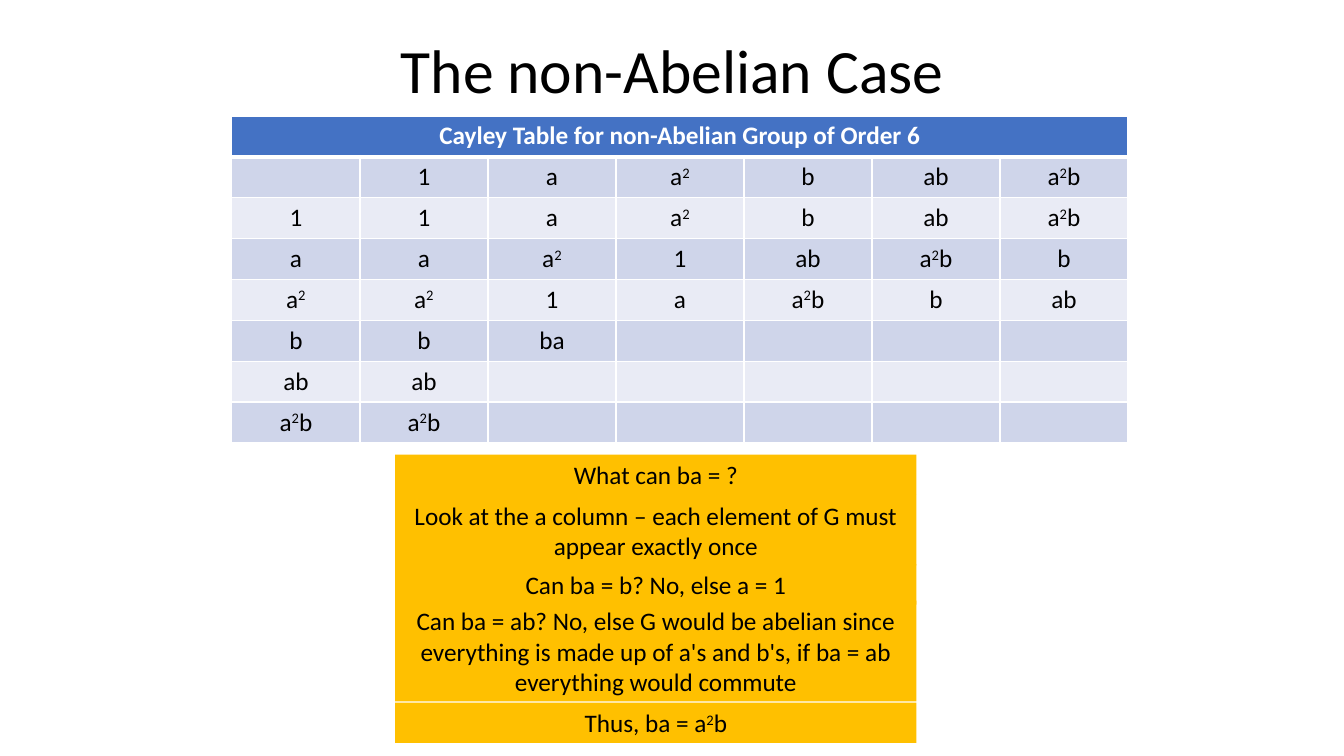
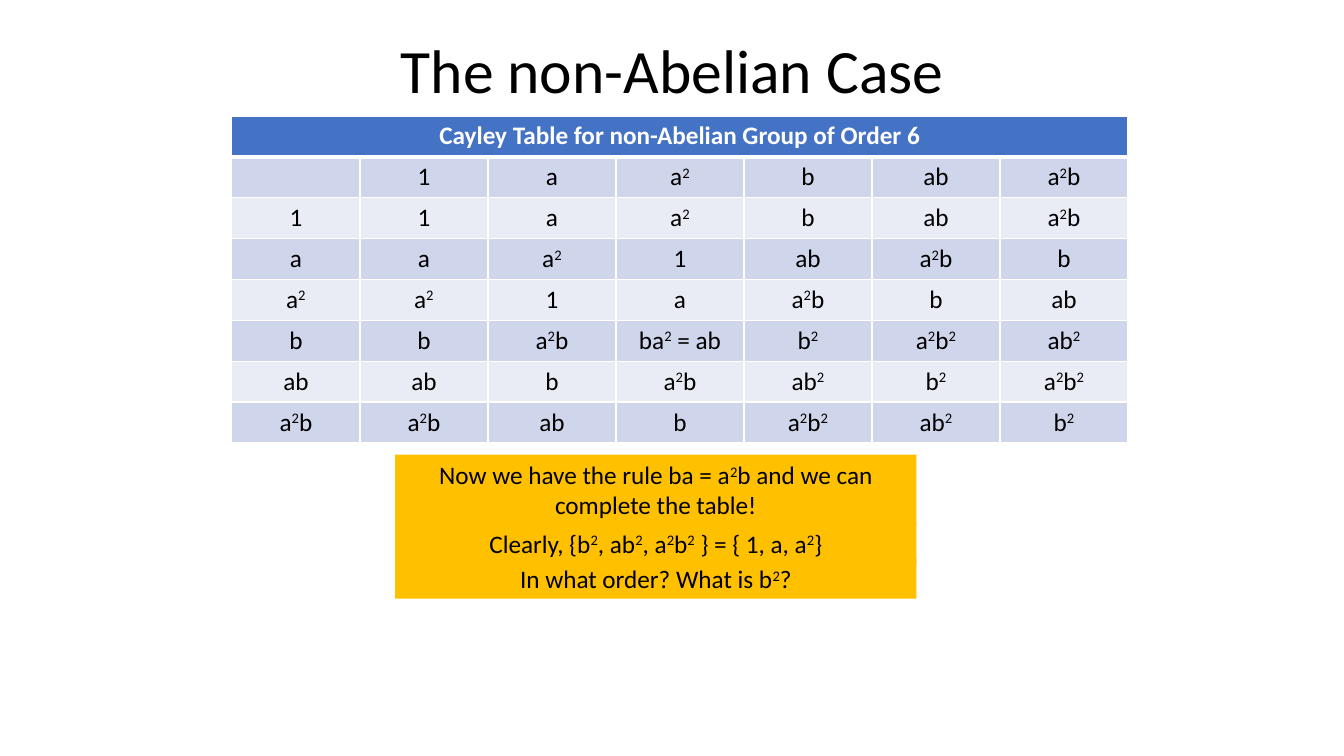
"""Build two slides on the Cayley table of the non-Abelian group of order 6."""
from lxml import etree
from pptx import Presentation
from pptx.dml.color import RGBColor
from pptx.enum.text import MSO_ANCHOR, MSO_AUTO_SIZE, PP_ALIGN
from pptx.oxml.ns import qn
from pptx.util import Inches, Pt

CENTER = PP_ALIGN.CENTER
MIDDLE = MSO_ANCHOR.MIDDLE
NO_FIT = MSO_AUTO_SIZE.NONE
GROW = MSO_AUTO_SIZE.SHAPE_TO_FIT_TEXT

FONT = "Calibri"
BLACK, WHITE = "000000", "FFFFFF"
HEADER_BLUE, GOLD = "4472C4", "FFC000"
BANDS = ("CFD5EA", "E9EBF5")

TITLE = "The non-Abelian Case"
CAPTION = "Cayley Table for non-Abelian Group of Order 6"
KNOWN_ROWS = [
    ["", "1", "a", "a²", "b", "ab", "a²b"],
    ["1", "1", "a", "a²", "b", "ab", "a²b"],
    ["a", "a", "a²", "1", "ab", "a²b", "b"],
    ["a²", "a²", "1", "a", "a²b", "b", "ab"],
]
# Each step is (top in inches, number of lines, text).
SLIDES = [
    {
        "rows": [
            ["b", "b", "ba", "", "", "", ""],
            ["ab", "ab", "", "", "", "", ""],
            ["a²b", "a²b", "", "", "", "", ""],
        ],
        "steps": [
            (4.51, 1, "What can ba = ?"),
            (4.91, 2, "Look at the a column – each element of G must appear exactly once"),
            (5.6, 1, "Can ba = b? No, else a = 1"),
            (5.96, 3, "Can ba = ab? No, else G would be abelian since everything is "
                      "made up of a's and b's, if ba = ab everything would commute"),
            (6.97, 1, "Thus, ba = a²b"),
        ],
    },
    {
        "rows": [
            ["b", "b", "a²b", "ba² = ab", "b²", "a²b²", "ab²"],
            ["ab", "ab", "b", "a²b", "ab²", "b²", "a²b²"],
            ["a²b", "a²b", "ab", "b", "a²b²", "ab²", "b²"],
        ],
        "steps": [
            (4.51, 2, "Now we have the rule ba = a²b and we can complete the table!"),
            (5.19, 1, "Clearly, {b², ab², a²b² } = { 1, a, a²}"),
            (5.54, 1, "In what order? What is b²?"),
        ],
    },
]

TABLE_LEFT, TABLE_TOP, TABLE_WIDTH, TABLE_HEIGHT = 2.3, 1.15, 8.89, 3.24
STEP_LEFT, STEP_WIDTH = 3.92, 5.17
STEP_PADDING, LINE_HEIGHT = 0.1, 0.3


def rgb(value):
    return RGBColor.from_string(value)


def paint(target, color):
    target.fill.solid()
    target.fill.fore_color.rgb = rgb(color)


def add_run(paragraph, text, size, color, bold, raised):
    run = paragraph.add_run()
    run.text = text
    run.font.name, run.font.size, run.font.bold = FONT, Pt(size), bold
    run.font.color.rgb = rgb(color)
    if raised:
        run._r.get_or_add_rPr().set("baseline", "30000")


def write(frame, text, size=18, color=BLACK, bold=False):
    paragraph = frame.paragraphs[0]
    paragraph.alignment = CENTER
    for index, part in enumerate(text.split("²")):
        if index:
            add_run(paragraph, "2", size, color, bold, True)
        if part:
            add_run(paragraph, part, size, color, bold, False)
    return paragraph


def set_borders(cell, top, bottom):
    properties = cell._tc.get_or_add_tcPr()
    for side, width in (("L", 1), ("R", 1), ("T", top), ("B", bottom)):
        line = etree.SubElement(properties, qn(f"a:ln{side}"), w=str(Pt(width)))
        fill = etree.SubElement(line, qn("a:solidFill"))
        etree.SubElement(fill, qn("a:srgbClr"), val=WHITE)


def add_title(slide):
    title = slide.shapes.title
    title.left, title.top = Inches(0.92), Inches(0)
    title.width, title.height = Inches(11.5), Inches(1.45)
    frame = title.text_frame
    frame.auto_size, frame.vertical_anchor = NO_FIT, MIDDLE
    write(frame, TITLE, 44).line_spacing = 0.9


def add_cayley_table(slide, body):
    columns = len(body[0])
    rows = [[CAPTION] + [""] * (columns - 1)] + body
    table = slide.shapes.add_table(
        len(rows), columns, Inches(TABLE_LEFT), Inches(TABLE_TOP),
        Inches(TABLE_WIDTH), Inches(TABLE_HEIGHT)).table
    table.horz_banding = False
    for r, row in enumerate(rows):
        header = r == 0
        for c, text in enumerate(row):
            cell = table.cell(r, c)
            set_borders(cell, 3 if r == 1 else 1, 3 if header else 1)
            paint(cell, HEADER_BLUE if header else BANDS[(r - 1) % 2])
            write(cell.text_frame, text, color=WHITE if header else BLACK, bold=header)
    table.cell(0, 0).merge(table.cell(0, columns - 1))


def add_step(slide, top, lines, text):
    step = slide.shapes.add_textbox(
        Inches(STEP_LEFT), Inches(top), Inches(STEP_WIDTH),
        Inches(STEP_PADDING + LINE_HEIGHT * lines))
    paint(step, GOLD)
    step.text_frame.word_wrap = True
    step.text_frame.auto_size = GROW
    write(step.text_frame, text)


deck = Presentation()
deck.slide_width, deck.slide_height = Inches(13.33), Inches(7.5)
title_only = deck.slide_layouts[5]
for content in SLIDES:
    page = deck.slides.add_slide(title_only)
    add_title(page)
    add_cayley_table(page, KNOWN_ROWS + content["rows"])
    for step_content in content["steps"]:
        add_step(page, *step_content)
deck.save("out.pptx")
